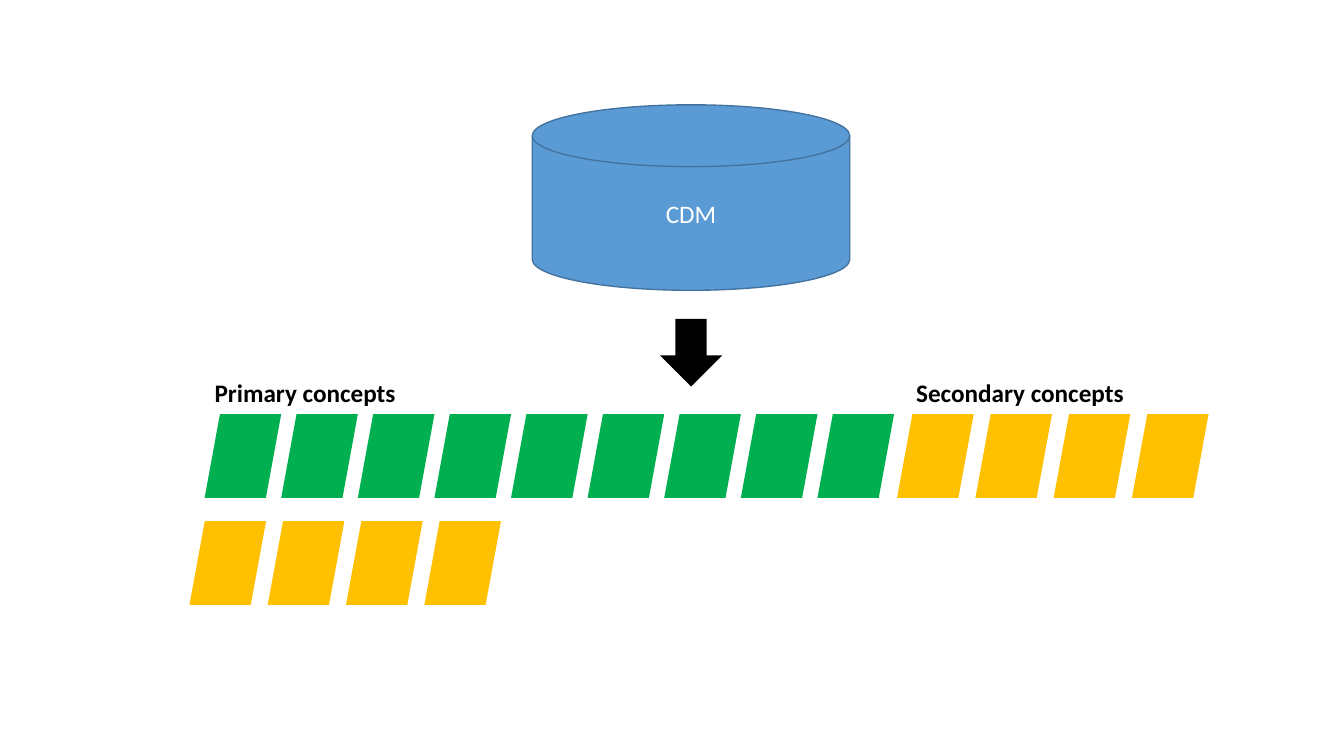
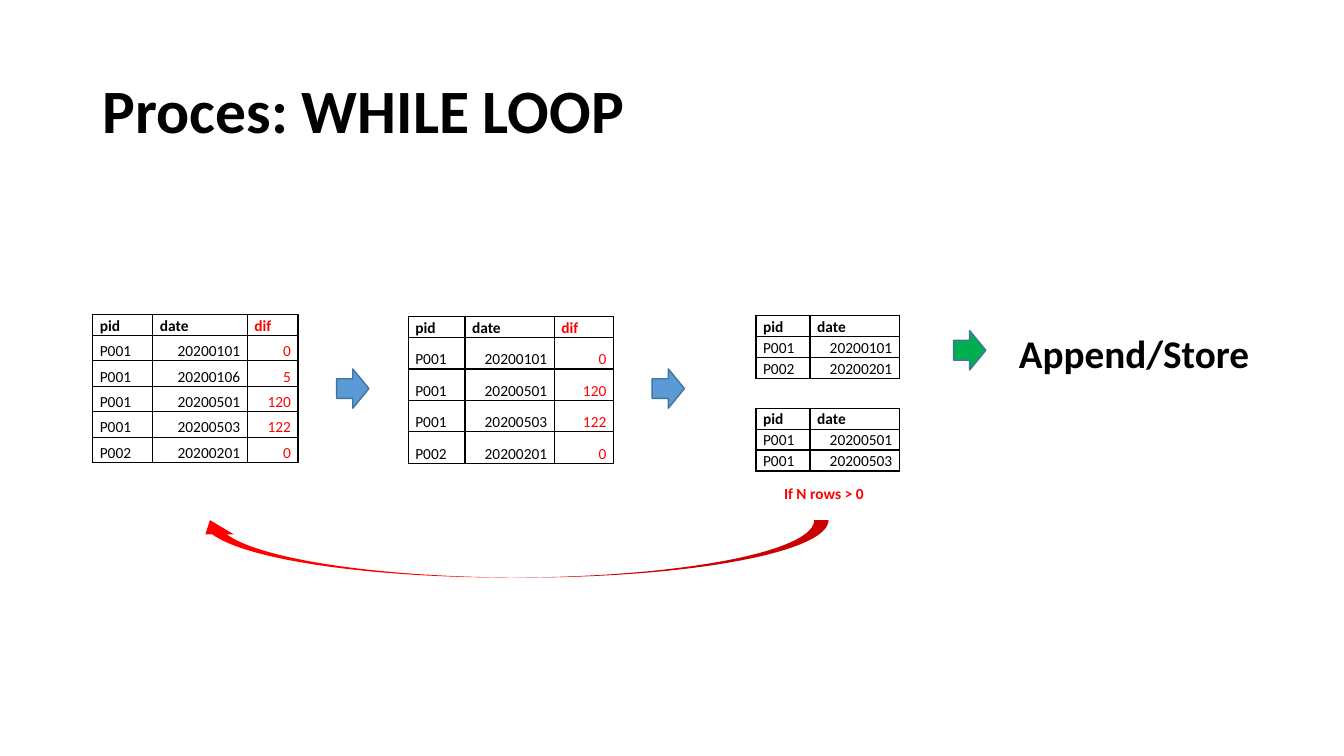
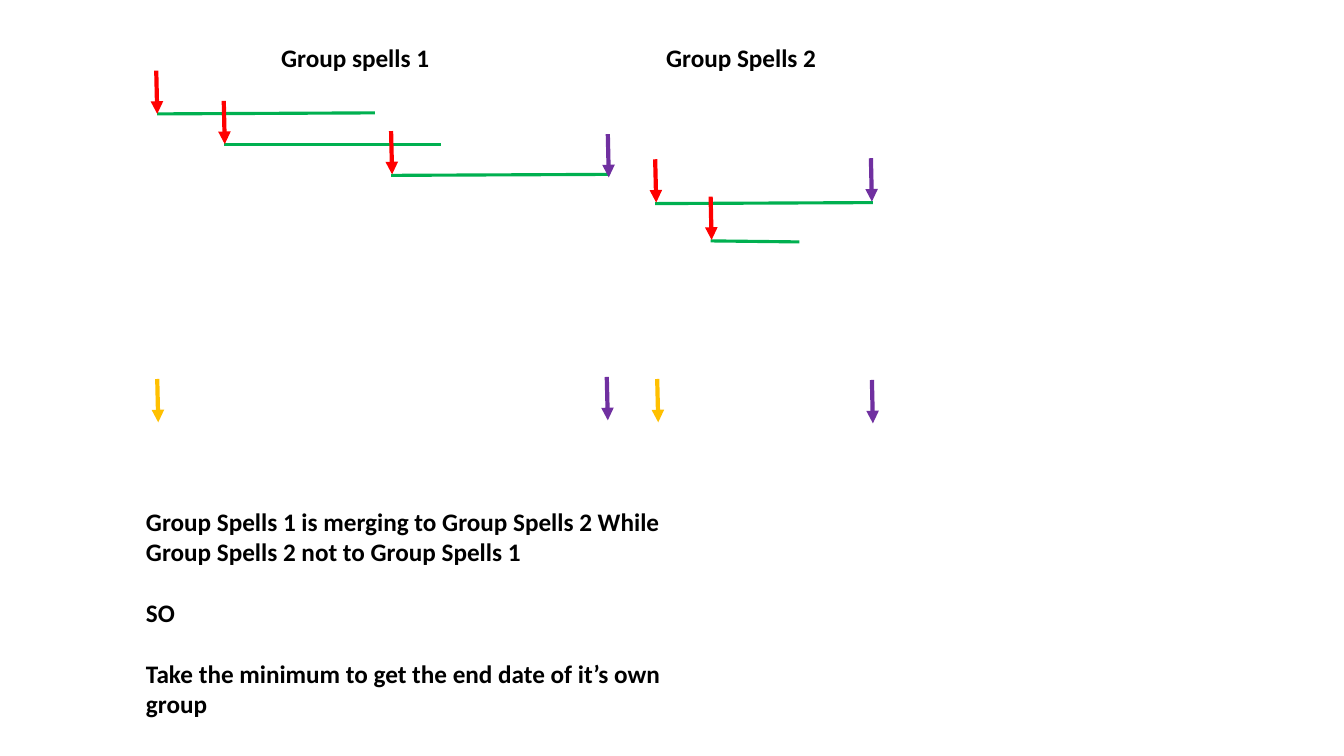
import lxml.etree
import pptx
import pptx.dml.color
import pptx.enum.shapes
import pptx.enum.text
import pptx.oxml.ns
import pptx.util

FONT = "Calibri"
BLACK, WHITE, RED = "000000", "FFFFFF", "FF0000"
BLUE, BLUE_EDGE = "5B9BD5", "43739E"
GREEN, AMBER, PURPLE = "00B050", "FFC000", "7030A0"

color = pptx.dml.color.RGBColor.from_string
qualified = pptx.oxml.ns.qn
presets = pptx.enum.shapes.MSO_SHAPE
align = pptx.enum.text.PP_ALIGN
anchors = pptx.enum.text.MSO_ANCHOR

presentation = pptx.Presentation()
presentation.slide_width = pptx.util.Inches(13.33)
presentation.slide_height = pptx.util.Inches(7.5)
title_only, blank = presentation.slide_layouts[5], presentation.slide_layouts[6]
column = presentation.slide_width / 40
row = presentation.slide_height / 30


def draw(slide, preset, left, top, width, height, fill=None, line=None):
    box = int(left * column), int(top * row), int(width * column), int(height * row)
    if preset is None:
        return slide.shapes.add_textbox(*box)
    shape = slide.shapes.add_shape(preset, *box)
    shape.shadow.inherit = False
    shape.fill.solid()
    shape.fill.fore_color.rgb = color(fill)
    if line:
        shape.line.color.rgb = color(line)
        shape.line.width = pptx.util.Pt(1)
    else:
        shape.line.fill.background()
    return shape


def write(frame, text, size=18, ink=BLACK, bold=True, alignment=align.LEFT,
          anchor=anchors.TOP, spacing=1.0, gap=0):
    frame.word_wrap = True
    frame.vertical_anchor = anchor
    frame.text = text
    for index, paragraph in enumerate(frame.paragraphs):
        paragraph.alignment = alignment
        paragraph.line_spacing = spacing
        paragraph.space_before = pptx.util.Pt(gap if index else 0)
        for run in paragraph.runs:
            run.font.name = FONT
            run.font.size = pptx.util.Pt(size)
            run.font.bold = bold
            run.font.color.rgb = color(ink)


slide = presentation.slides.add_slide(blank)
database = draw(slide, presets.FLOWCHART_MAGNETIC_DISK, 15.84, 4.16, 9.45, 7.36, BLUE, BLUE_EDGE)
write(database.text_frame, "CDM", ink=WHITE, bold=False,
      alignment=align.CENTER, anchor=anchors.MIDDLE)

for fill, count, left, top, pitch in [
    (GREEN, 9, 6.09, 16.44, 2.28),
    (AMBER, 4, 26.7, 16.44, 2.33),
    (AMBER, 4, 5.64, 20.68, 2.33),
]:
    for index in range(count):
        draw(slide, presets.FLOWCHART_DATA, left + index * pitch, top, 2.28, 3.32, fill)

draw(slide, presets.DOWN_ARROW, 19.64, 12.66, 1.86, 2.68, BLACK)
for left, label in [(6.09, "Primary concepts"), (26.97, "Secondary concepts")]:
    write(draw(slide, None, left, 14.76, 7.17, 1.6).text_frame, label)

slide = presentation.slides.add_slide(title_only)
title = slide.shapes.title
title.left, title.top = int(2.76 * column), int(1.6 * row)
title.width, title.height = int(34.5 * column), int(5.8 * row)
write(title.text_frame, "Proces: WHILE LOOP", size=44, anchor=anchors.MIDDLE, spacing=0.9)

header = ("pid", "date", "dif")
first_visit = ("P001", "20200101", "0")
later_visits = [("P001", "20200501", "120"), ("P001", "20200503", "122")]
other_person = ("P002", "20200201", "0")
for left, top, widths, body_height, records in [
    (2.76, 12.48, (1.79, 2.81, 1.51), 1.01,
     [first_visit, ("P001", "20200106", "5"), *later_visits, other_person]),
    (12.15, 12.56, (1.69, 2.66, 1.76), 1.25, [first_visit, *later_visits, other_person]),
    (22.5, 12.52, (1.61, 2.66), 0.83, [first_visit, other_person]),
    (22.5, 16.2, (1.61, 2.66), 0.83, later_visits),
]:
    heights = [0.83] + [body_height] * len(records)
    table = slide.shapes.add_table(
        len(heights), len(widths), int(left * column), int(top * row),
        int(sum(widths) * column), int(sum(heights) * row)).table
    table.first_row = table.horz_banding = False
    for index, width in enumerate(widths):
        table.columns[index].width = int(width * column)
    for line_number, record in enumerate([header, *records]):
        table.rows[line_number].height = int(heights[line_number] * row)
        for index, value in enumerate(record[:len(widths)]):
            cell = table.cell(line_number, index)
            cell.margin_left = cell.margin_right = pptx.util.Inches(0.07)
            cell.margin_top = cell.margin_bottom = 0
            write(cell.text_frame, value, size=11, ink=RED if index == 2 else BLACK,
                  bold=line_number == 0, spacing=1.07,
                  alignment=align.RIGHT if line_number and index else align.LEFT)
            cell.vertical_anchor = anchors.BOTTOM
            properties = cell._tc.get_or_add_tcPr()
            for side in ("a:lnL", "a:lnR", "a:lnT", "a:lnB"):
                border = lxml.etree.SubElement(properties, qualified(side), w="12700")
                solid = lxml.etree.SubElement(border, qualified("a:solidFill"))
                lxml.etree.SubElement(solid, qualified("a:srgbClr"), val=BLACK)
            cell.fill.background()

for left, top, fill in [(10.02, 14.64, BLUE), (19.41, 14.64, BLUE), (28.38, 13.12, GREEN)]:
    draw(slide, presets.RIGHT_ARROW, left, top, 0.96, 1.56, fill, BLUE_EDGE)

store = draw(slide, presets.RECTANGLE, 30.03, 12.76, 7.5, 2.12, WHITE)
write(store.text_frame, "Append/Store", size=28, spacing=1.07)
condition = draw(slide, presets.RECTANGLE, 23.04, 18.96, 3.18, 1.24, WHITE)
write(condition.text_frame, "If N rows > 0", size=11, ink=RED, spacing=1.07)
loop_arrow = draw(slide, presets.CURVED_DOWN_ARROW, 5.82, 20.64, 18.84, 2.28, RED)
loop_arrow.rotation = 180

slide = presentation.slides.add_slide(blank)
spells = [
    (GREEN, 4.68, 4.52, 6.48, -0.04),
    (GREEN, 6.66, 5.72, 6.48, 0),
    (GREEN, 11.64, 6.96, 6.45, -0.04),
    (GREEN, 19.5, 8.08, 6.48, -0.04),
    (GREEN, 21.15, 9.56, 2.64, 0.04),
]
markers = [
    (RED, [(4.65, 2.8), (6.66, 4), (11.64, 5.2), (19.5, 6.32), (21.15, 7.8)]),
    (AMBER, [(4.68, 15.04), (19.56, 15.04)]),
    (PURPLE, [(18.06, 14.96), (25.95, 15.08), (25.92, 6.28), (18.09, 5.32)]),
]
arrows = [(ink, left, top, 0.03, 1.72) for ink, places in markers for left, top in places]
for ink, left, top, across, down in spells + arrows:
    connector = slide.shapes.add_connector(
        pptx.enum.shapes.MSO_CONNECTOR.STRAIGHT, int(left * column), int(top * row),
        int((left + across) * column), int((top + down) * row))
    connector.line.color.rgb = color(ink)
    connector.line.width = pptx.util.Pt(2.25 if ink == GREEN else 3)
    properties = connector.element.spPr
    if ink != GREEN:
        outline = properties.find(qualified("a:ln"))
        lxml.etree.SubElement(outline, qualified("a:tailEnd"), type="triangle")
    lxml.etree.SubElement(properties, qualified("a:effectLst"))

for left, label in [(8.07, "Group spells 1"), (19.53, "Group Spells 2")]:
    write(draw(slide, None, left, 1.48, 7.17, 1.6).text_frame, label)

conclusion = draw(slide, None, 4.05, 19.88, 16.47, 8.88)
write(conclusion.text_frame, "\n".join([
    "Group Spells 1 is merging to Group Spells 2 While Group Spells 2 not to Group Spells 1",
    "SO",
    "Take the minimum to get the end date of it’s own group",
]), gap=22)

presentation.save("out.pptx")
